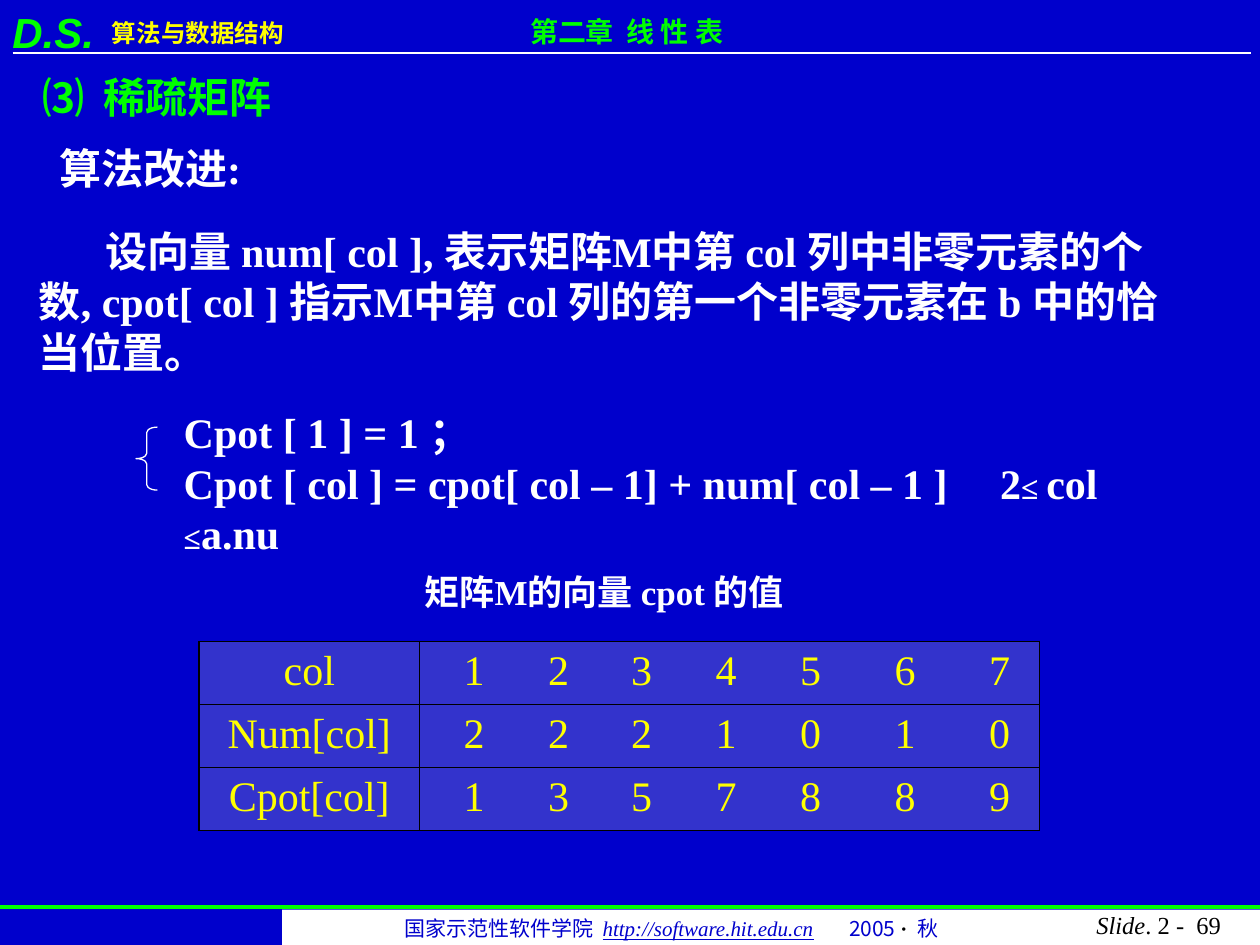
import pptx
import pptx.chart.data
import pptx.dml.color
import pptx.enum.shapes
import pptx.enum.text
import pptx.oxml
import pptx.oxml.ns
import pptx.util
from pptx.util import Inches

COLORS = {
    "blue": "0000CC",
    "cell": "3333CC",
    "green": "00FF00",
    "yellow": "FFFF00",
    "white": "FFFFFF",
    "black": "000000",
}
SERIF = "Times New Roman"
SANS = "Noto Sans CJK SC"
RIGHT = pptx.enum.text.PP_ALIGN.RIGHT
CENTER = pptx.enum.text.PP_ALIGN.CENTER


def rgb(name):
    return pptx.dml.color.RGBColor.from_string(COLORS[name])


def add_element(parent, tag, **attributes):
    element = parent.makeelement(pptx.oxml.ns.qn(tag), attributes)
    parent.append(element)
    return element


class SlideBuilder:
    def __init__(self, slide, background):
        self.slide = slide
        slide.background.fill.solid()
        slide.background.fill.fore_color.rgb = rgb(background)

    def run(self, paragraph, text, size=24, color="white", font=SERIF,
            bold=False, italic=False, underline=False):
        run = paragraph.add_run()
        run.text = text
        run.font.size = pptx.util.Pt(size)
        run.font.bold = bold
        run.font.italic = italic
        run.font.underline = underline
        run.font.color.rgb = rgb(color)
        run.font.name = font
        add_element(run.font._element, "a:ea", typeface=SANS)

    def layout(self, paragraph, indent=0, tabs=()):
        properties = paragraph._p.get_or_add_pPr()
        if indent:
            properties.set("indent", str(Inches(indent)))
        if tabs:
            tab_list = add_element(properties, "a:tabLst")
            for position in tabs:
                add_element(tab_list, "a:tab", pos=str(Inches(position)), algn="l")

    def text(self, left, top, width, height, paragraphs, wrap=False, align=None,
             spacing=None, indent=0, tabs=(), **style):
        box = self.slide.shapes.add_textbox(
            Inches(left), Inches(top), Inches(width), Inches(height))
        frame = box.text_frame
        frame.word_wrap = wrap
        for number, runs in enumerate(paragraphs):
            paragraph = frame.add_paragraph() if number else frame.paragraphs[0]
            if align is not None:
                paragraph.alignment = align
            if spacing:
                paragraph.line_spacing = spacing
            self.layout(paragraph, 0 if number else indent, tabs)
            for text, changes in runs:
                self.run(paragraph, text, **{**style, **changes})

    def line(self, left, right, y, color, width):
        connector = self.slide.shapes.add_connector(
            pptx.enum.shapes.MSO_CONNECTOR.STRAIGHT,
            Inches(left), Inches(y), Inches(right), Inches(y))
        connector.line.color.rgb = rgb(color)
        connector.line.width = pptx.util.Pt(width)
        add_element(connector._element.spPr, "a:effectLst")

    def shape(self, kind, left, top, width, height, fill=None, line=None):
        shape = self.slide.shapes.add_shape(
            kind, Inches(left), Inches(top), Inches(width), Inches(height))
        shape.shadow.inherit = False
        if fill:
            shape.fill.solid()
            shape.fill.fore_color.rgb = rgb(fill)
        else:
            shape.fill.background()
        if line:
            shape.line.color.rgb = rgb(line)
            shape.line.width = pptx.util.Pt(0.75)
        else:
            shape.line.fill.background()
        return shape

    def borders(self, cell, widths):
        properties = cell._tc.get_or_add_tcPr()
        for index, (side, width) in enumerate(widths.items()):
            border = properties.makeelement(
                pptx.oxml.ns.qn(f"a:ln{side}"), {"w": str(pptx.util.Pt(width))})
            fill = add_element(border, "a:solidFill")
            add_element(fill, "a:srgbClr", val=COLORS["black"])
            properties.insert(index, border)

    def table(self, left, top, columns, row_height, rows, tabs):
        frame = self.slide.shapes.add_table(
            len(rows), len(columns), Inches(left), Inches(top),
            Inches(sum(columns)), Inches(row_height * len(rows)))
        table = frame.table
        for column, width in zip(table.columns, columns):
            column.width = Inches(width)
        thick, thin = 1.08, 0.45
        for row_index, (label, values) in enumerate(rows):
            table.rows[row_index].height = Inches(row_height)
            texts = (label, "".join(f"\t{value}" for value in values))
            for column_index, text in enumerate(texts):
                cell = table.cell(row_index, column_index)
                cell.fill.solid()
                cell.fill.fore_color.rgb = rgb("cell")
                self.borders(cell, {
                    "L": thin if column_index else thick,
                    "R": thick if column_index else thin,
                    "T": thin if row_index else thick,
                    "B": thick if row_index == len(rows) - 1 else thin,
                })
                paragraph = cell.text_frame.paragraphs[0]
                if column_index:
                    self.layout(paragraph, tabs=tabs)
                else:
                    paragraph.alignment = CENTER
                self.run(paragraph, text, color="yellow")


def main():
    presentation = pptx.Presentation()
    presentation.slide_width = Inches(10)
    presentation.slide_height = Inches(7.5)
    builder = SlideBuilder(
        presentation.slides.add_slide(presentation.slide_layouts[6]), "blue")
    shapes = pptx.enum.shapes.MSO_SHAPE

    builder.text(0.75, 0.09, 1.92, 0.34, [[("算法与数据结构", {})]], wrap=True,
                 indent=0.04, size=14, font=SANS, color="yellow", bold=True)
    builder.line(0.1, 9.93, 0.42, "white", 0.75)
    builder.text(0, 0, 1, 0.5, [[("D.S.", {})]], wrap=True,
                 font="Arial", color="green", bold=True, italic=True)
    builder.line(0, 10, 7.2, "green", 2)
    builder.text(4.11, 0.07, 1.97, 0.37, [[("第二章  线 性 表", {})]], wrap=True,
                 size=16, color="green", bold=True)

    builder.shape(shapes.RECTANGLE, 2.24, 7.22, 7.76, 0.28, fill="white")
    builder.text(3.11, 7.22, 4.72, 0.3, [[
        ("国家示范性软件学院  ", {}),
        ("http://software.hit.edu.cn", {"font": SERIF, "italic": True, "underline": True}),
        ("\t2005 ", {}),
        ("·  ", {"font": SERIF, "color": "black", "bold": True}),
        ("秋", {}),
    ]], wrap=True, tabs=[3.53], size=12, font=SANS, color="blue")
    builder.text(8.31, 7.17, 1.48, 0.34, [[
        ("Slide", {"italic": True}), (". 2 -  69", {}),
    ]], wrap=True, align=RIGHT, size=14, color="black")

    builder.text(0.24, 0.44, 2.02, 0.58, [[("⑶  稀疏矩阵", {})]],
                 spacing=1.2, color="green", bold=True)
    builder.text(0.37, 1.08, 1.72, 0.5, [[("算法改进:", {})]], bold=True)
    builder.text(0.21, 1.74, 9.72, 1.3, [
        [("设向量 num[ col ], 表示矩阵M中第 col 列中非零元素的个", {})],
        [("数, cpot[ col ] 指示M中第 col 列的第一个非零元素在 b 中的恰", {})],
        [("当位置。", {})],
    ], indent=0.53, bold=True)

    builder.text(1.36, 3.18, 8.29, 0.9, [
        [("Cpot [ 1 ] = 1 ；", {})],
        [("Cpot [ col ] = cpot[ col – 1] + num[ col – 1 ]\t2", {}),
         ("≤ ", {"size": 18}), ("col ", {}), ("≤", {"size": 18}), ("a.nu", {})],
    ], tabs=[6.48], bold=True)
    brace = builder.shape(shapes.LEFT_BRACE, 1.08, 3.39, 0.17, 0.5, line="white")
    brace.adjustments[0] = 0.25

    builder.text(3.27, 4.48, 3.32, 0.44, [[("矩阵M的向量 cpot 的值", {})]],
                 size=20, bold=True)
    builder.table(1.58, 5.09, [1.75, 4.92], 0.5, [
        ("col", range(1, 8)),
        ("Num[col]", [2, 2, 2, 1, 0, 1, 0]),
        ("Cpot[col]", [1, 3, 5, 7, 8, 8, 9]),
    ], tabs=[0.25, 0.92, 1.58, 2.25, 2.92, 3.67, 4.42])

    presentation.save("out.pptx")


if __name__ == "__main__":
    main()
